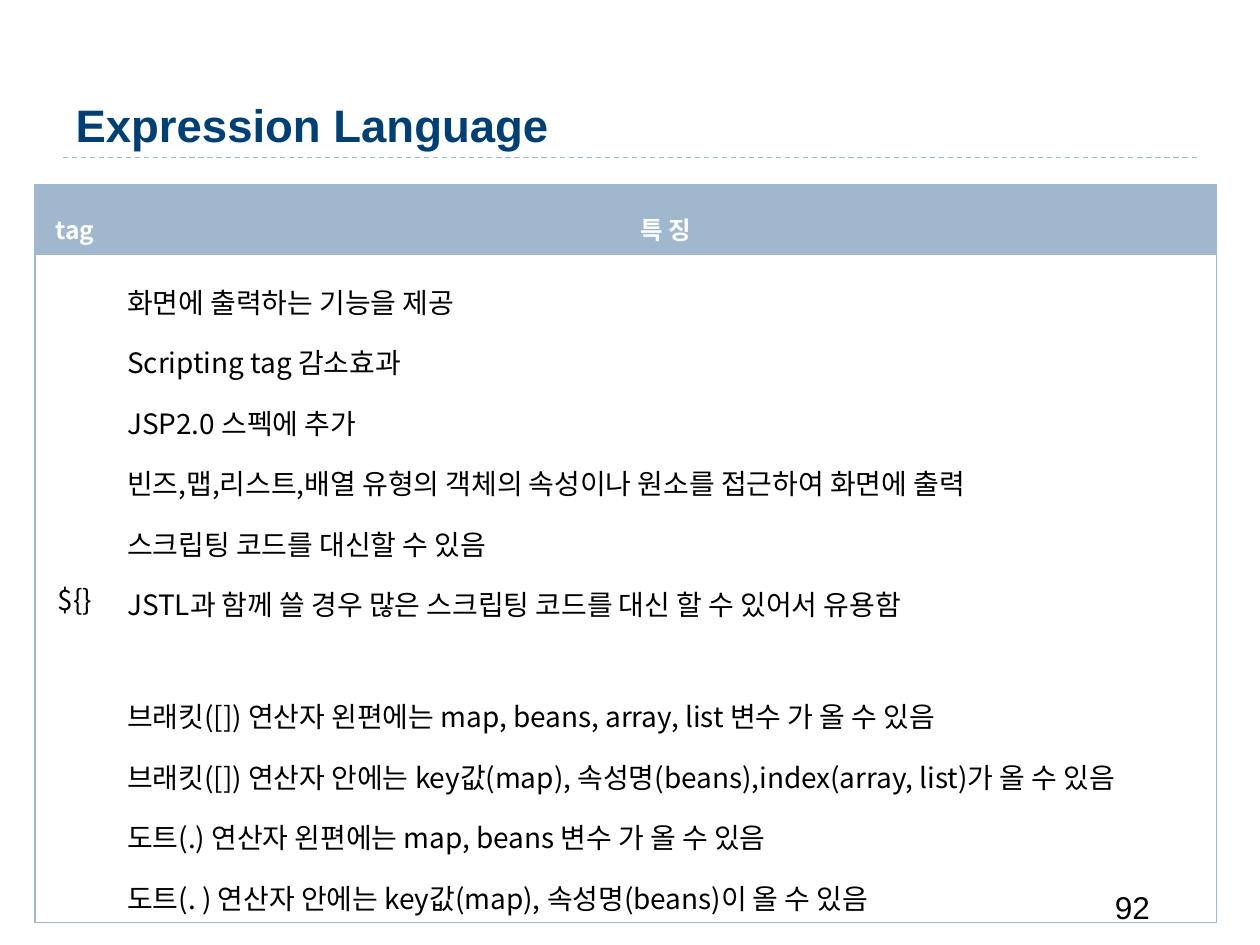
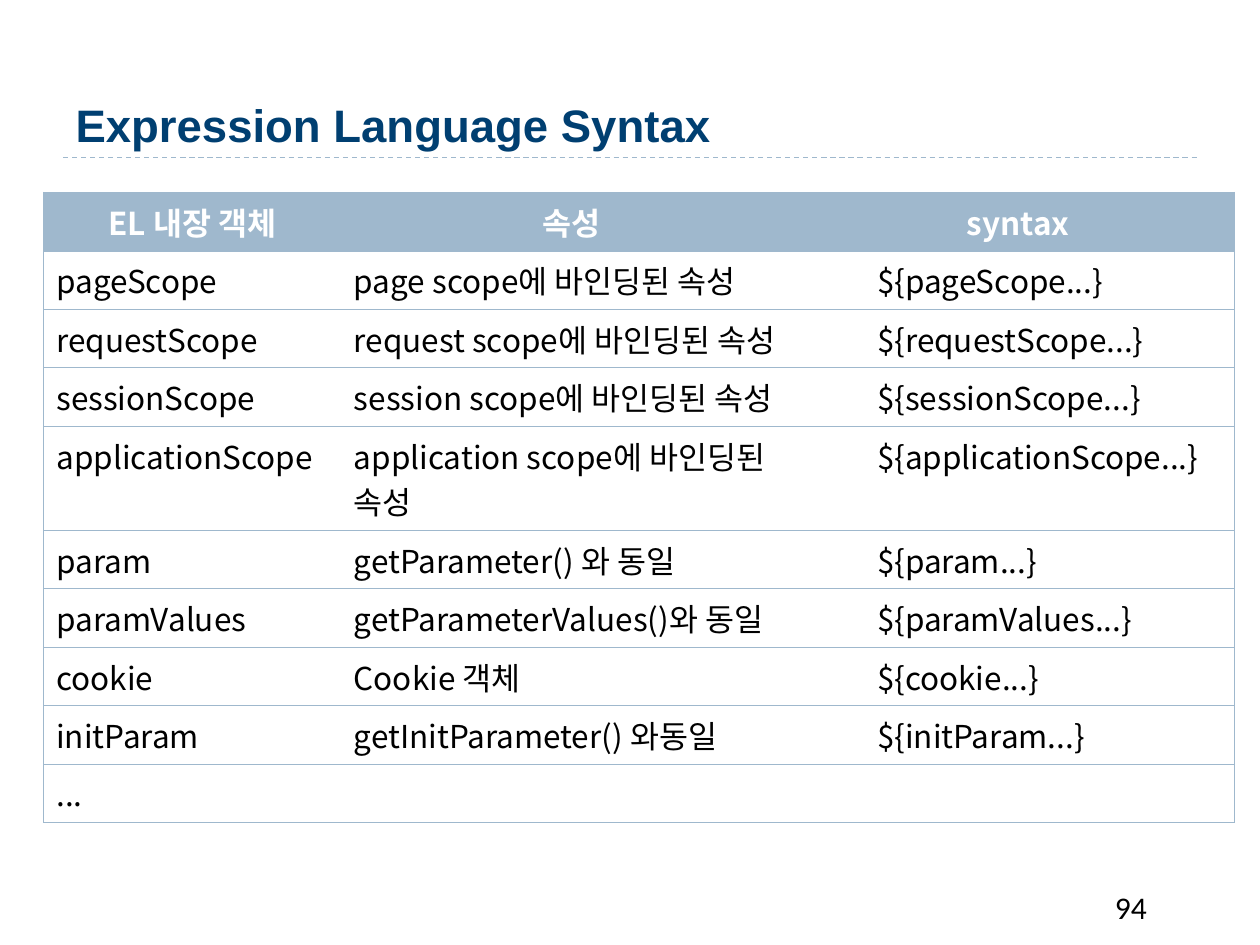
from lxml.etree import SubElement
from pptx import Presentation
from pptx.dml.color import RGBColor
from pptx.enum.dml import MSO_LINE
from pptx.enum.shapes import MSO_CONNECTOR
from pptx.enum.text import MSO_ANCHOR as Anchor, MSO_AUTO_SIZE as AutoSize, PP_ALIGN as Align
from pptx.oxml.ns import qn
from pptx.util import Pt

NAVY = RGBColor(0x00, 0x3F, 0x71)
STEEL = RGBColor(0x9F, 0xB8, 0xCD)
WHITE = RGBColor(0xFF, 0xFF, 0xFF)
BLACK = RGBColor(0x00, 0x00, 0x00)
KOREAN = "Noto Sans CJK KR"
PLAIN_TABLE = "{2D5ABB26-0587-4C30-8999-92F81FD0307C}"
ROW = 33.4

FEATURES = """화면에 출력하는 기능을 제공
Scripting tag 감소효과
JSP2.0 스펙에 추가
빈즈,맵,리스트,배열 유형의 객체의 속성이나 원소를 접근하여 화면에 출력
스크립팅 코드를 대신할 수 있음
JSTL과 함께 쓸 경우 많은 스크립팅 코드를 대신 할 수 있어서 유용함
브래킷([]) 연산자 왼편에는 map, beans, array, list 변수 가 올 수 있음
브래킷([]) 연산자 안에는 key값(map), 속성명(beans),index(array, list)가 올 수 있음
도트(.) 연산자 왼편에는 map, beans 변수 가 올 수 있음
도트(. ) 연산자 안에는 key값(map), 속성명(beans)이 올 수 있음"""
OPERATORS_START = 6

IMPLICIT_OBJECTS = [
    ("pageScope", "page scope에 바인딩된 속성"),
    ("requestScope", "request scope에 바인딩된 속성"),
    ("sessionScope", "session scope에 바인딩된 속성"),
    ("applicationScope", "application scope에 바인딩된 속성"),
    ("param", "getParameter() 와 동일"),
    ("paramValues", "getParameterValues()와 동일"),
    ("cookie", "Cookie 객체"),
    ("initParam", "getInitParameter() 와동일"),
]


def write(frame, text, *, size=18, font=KOREAN, color=BLACK, bold=False, align=Align.LEFT,
          spacing=None, indent=0, gap_line=None, gap=0):
    """Write each line of text as a paragraph, with an optional gap before one line."""
    for index, line in enumerate(text.split("\n")):
        paragraph = frame.paragraphs[0] if index == 0 else frame.add_paragraph()
        paragraph.alignment = align
        if spacing:
            paragraph.line_spacing = spacing
        if indent:
            properties = paragraph._p.get_or_add_pPr()
            properties.set("marL", str(Pt(indent)))
            properties.set("indent", "0")
        if index == gap_line:
            paragraph.space_before = Pt(gap)
        run = paragraph.add_run()
        run.text = line
        run.font.name = font
        run.font.size = Pt(size)
        run.font.bold = bold
        run.font.color.rgb = color
        SubElement(run.font._element, qn("a:ea"), typeface=font)


def add_rule(slide):
    """Draw the dashed rule under the title."""
    rule = slide.shapes.add_connector(MSO_CONNECTOR.STRAIGHT, Pt(36), Pt(90), Pt(684), Pt(90))
    rule.line.color.rgb = STEEL
    rule.line.width = Pt(0.75)
    rule.line.dash_style = MSO_LINE.DASH
    SubElement(rule._element.spPr, qn("a:effectLst"))


def add_titled_slide(deck, heading, number, number_font):
    """Add a slide with its title, rule and page number."""
    slide = deck.slides.add_slide(deck.slide_layouts[5])
    title = slide.shapes.title
    title.left, title.top, title.width, title.height = Pt(36), Pt(12), Pt(648), Pt(78)
    title.text_frame.vertical_anchor = Anchor.BOTTOM
    title.text_frame.auto_size = AutoSize.NONE
    write(title.text_frame, heading, size=26, font="Arial", color=NAVY, bold=True)
    add_rule(slide)
    page = slide.shapes.add_textbox(Pt(630), Pt(504), Pt(60), Pt(29))
    page.text_frame.word_wrap = True
    write(page.text_frame, number, font=number_font)
    return slide


def set_borders(cell, visible):
    """Draw the visible sides of a cell and clear the others."""
    properties = cell._tc.get_or_add_tcPr()
    for side in "LRTB":
        edge = SubElement(properties, qn(f"a:ln{side}"), w=str(Pt(0.75)))
        if side in visible:
            fill = SubElement(edge, qn("a:solidFill"))
            SubElement(fill, qn("a:srgbClr"), val=str(STEEL))
        else:
            SubElement(edge, qn("a:noFill"))


def add_ruled_table(slide, left, top, widths, heights):
    """Add a framed table with row lines and a filled header row."""
    frame = slide.shapes.add_table(len(heights), len(widths), Pt(left), Pt(top),
                                   Pt(sum(widths)), Pt(sum(heights)))
    table = frame.table
    table.horz_banding = False
    table._tbl.tblPr.find(qn("a:tableStyleId")).text = PLAIN_TABLE
    for column, width in zip(table.columns, widths):
        column.width = Pt(width)
    for row_index, (row, height) in enumerate(zip(table.rows, heights)):
        row.height = Pt(height)
        for column_index, cell in enumerate(row.cells):
            outer = ("L" if column_index == 0 else "") + ("R" if column_index == len(widths) - 1 else "")
            set_borders(cell, "TB" + outer)
            if row_index == 0:
                cell.fill.solid()
                cell.fill.fore_color.rgb = STEEL
            else:
                cell.fill.background()
    return table


def add_overview(deck):
    """Build the slide on the features of the expression language."""
    slide = add_titled_slide(deck, "Expression Language", "92", "Arial")
    table = add_ruled_table(slide, 20, 105.5, (45.5, 629.5), (40, 381.5))
    for column, label in enumerate(("tag", "특 징")):
        header = table.cell(0, column)
        header.vertical_anchor = Anchor.MIDDLE
        write(header.text_frame, label, size=14, color=WHITE, bold=True,
              align=Align.CENTER, spacing=1.5)
    tag, features = table.cell(1, 0), table.cell(1, 1)
    tag.vertical_anchor = Anchor.MIDDLE
    write(tag.text_frame, "${}", size=16, align=Align.CENTER, spacing=1.5)
    write(features.text_frame, FEATURES, size=16, spacing=1.5,
          gap_line=OPERATORS_START, gap=29.5)


def add_syntax(deck):
    """Build the slide on the implicit objects and their syntax."""
    slide = add_titled_slide(deck, "Expression Language Syntax", "94", "Calibri")
    heights = [ROW] * (len(IMPLICIT_OBJECTS) + 2)
    heights[4] = 59.5
    table = add_ruled_table(slide, 25, 110, (170, 263, 247.5), heights)
    for column, label in enumerate(("EL 내장 객체", "속성", "syntax")):
        write(table.cell(0, column).text_frame, label, color=WHITE, bold=True, align=Align.CENTER)
    for row, (name, meaning) in enumerate(IMPLICIT_OBJECTS, 1):
        write(table.cell(row, 0).text_frame, name)
        write(table.cell(row, 1).text_frame, meaning)
        write(table.cell(row, 2).text_frame, f"${{{name}...}}", indent=36)
    write(table.cell(len(heights) - 1, 0).text_frame, "...")


def main():
    """Build and save the deck."""
    deck = Presentation()
    deck.slide_width, deck.slide_height = Pt(720), Pt(540)
    add_overview(deck)
    add_syntax(deck)
    deck.save("out.pptx")


if __name__ == "__main__":
    main()
